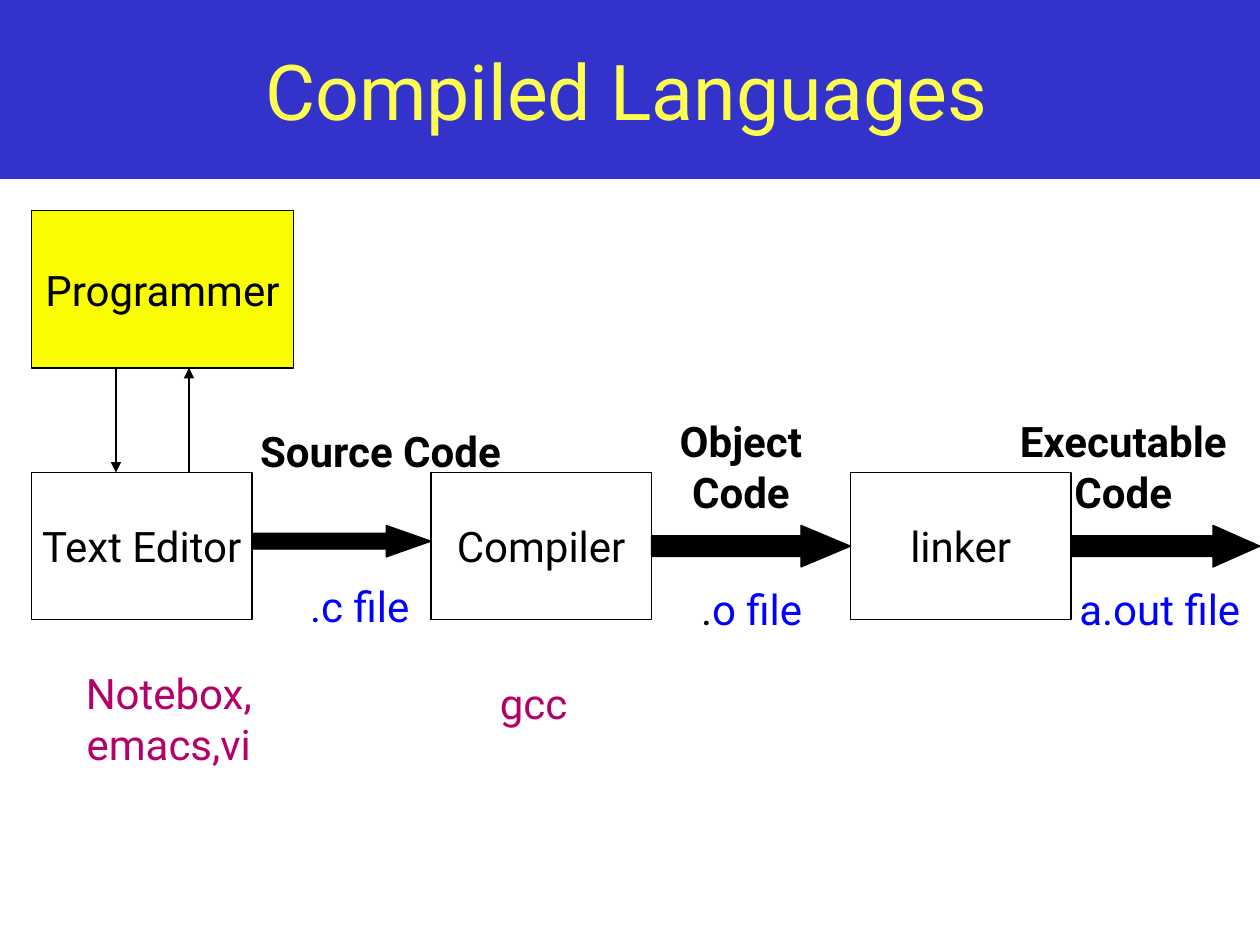
from lxml import etree
from pptx import Presentation
from pptx.dml.color import RGBColor
from pptx.enum.shapes import MSO_CONNECTOR, MSO_SHAPE
from pptx.enum.text import MSO_ANCHOR, MSO_AUTO_SIZE, PP_ALIGN
from pptx.oxml.ns import qn
from pptx.util import Inches, Pt

RECT = MSO_SHAPE.RECTANGLE
RIGHT_ARROW = MSO_SHAPE.RIGHT_ARROW
STRAIGHT = MSO_CONNECTOR.STRAIGHT
MIDDLE, TOP = MSO_ANCHOR.MIDDLE, MSO_ANCHOR.TOP
CENTER = PP_ALIGN.CENTER
FIT_SHAPE = MSO_AUTO_SIZE.SHAPE_TO_FIT_TEXT

FONT = "Roboto"
COLORS = {
    "banner": "3333CC",
    "title": "FEFE50",
    "black": "000000",
    "white": "FFFFFF",
    "programmer": "FAFD00",
    "file": "0000FF",
    "tool": "B50069",
}
STAGE_TOP, STAGE_W, STAGE_H = 3.75, 1.75, 1.17
STAGES = [("Text Editor", 0.25), ("Compiler", 3.42), ("linker", 6.75)]
PROGRAMMER_BOTTOM = 2.92


def rgb(name):
    return RGBColor.from_string(COLORS[name])


def write(tf, runs, size=24, bold=False, anchor=TOP, wrap=True):
    """Fill a text frame with one centred paragraph of (text, colour) runs."""
    tf.word_wrap = wrap
    tf.vertical_anchor = anchor
    p = tf.paragraphs[0]
    p.alignment = CENTER
    for text, color in runs:
        r = p.add_run()
        r.text = text
        r.font.name = FONT
        r.font.size = Pt(size)
        r.font.bold = bold
        r.font.color.rgb = rgb(color)


def add_shape(slide, kind, left, top, width, height, fill, line="black"):
    sp = slide.shapes.add_shape(
        kind, Inches(left), Inches(top), Inches(width), Inches(height))
    sp.shadow.inherit = False
    sp.fill.solid()
    sp.fill.fore_color.rgb = rgb(fill)
    if line:
        sp.line.color.rgb = rgb(line)
        sp.line.width = Pt(0.75)
    else:
        sp.line.fill.background()
    return sp


def add_box(slide, text, left, top, width, height, fill="white"):
    sp = add_shape(slide, RECT, left, top, width, height, fill)
    write(sp.text_frame, [(text, "black")], anchor=MIDDLE, wrap=False)


def add_block_arrow(slide, left, right, height, head):
    sp = add_shape(slide, RIGHT_ARROW, left, 4.17, right - left, height, "black")
    sp.adjustments[0] = 0.5
    sp.adjustments[1] = head


def add_thin_arrow(slide, x, start, end):
    line = slide.shapes.add_connector(
        STRAIGHT, Inches(x), Inches(start), Inches(x), Inches(end))
    line.line.color.rgb = rgb("black")
    line.line.width = Pt(0.75)
    ln = line.line._get_or_add_ln()
    etree.SubElement(ln, qn("a:tailEnd"), type="triangle")
    etree.SubElement(line._element.spPr, qn("a:effectLst"))


def add_label(slide, runs, left, top, width, height, bold=False, wrap=True):
    tf = slide.shapes.add_textbox(
        Inches(left), Inches(top), Inches(width), Inches(height)).text_frame
    write(tf, runs, bold=bold, wrap=wrap)
    tf.auto_size = FIT_SHAPE


def add_title(slide, text):
    add_shape(slide, RECT, 0, 0, 10, 1.42, "banner", line=None)
    sp = slide.shapes.add_textbox(
        Inches(0.17), Inches(0.17), Inches(9.61), Inches(1.08))
    write(sp.text_frame, [(text, "title")], size=44, anchor=MIDDLE)


def main():
    prs = Presentation()
    prs.slide_width, prs.slide_height = Inches(10), Inches(7.5)
    slide = prs.slides.add_slide(prs.slide_layouts[6])

    add_title(slide, "Compiled Languages")

    for text, left in STAGES:
        add_box(slide, text, left, STAGE_TOP, STAGE_W, STAGE_H)
    ends = [left for _, left in STAGES[1:]] + [10]
    heads = [(0.25, 1.42), (0.33, 1.19), (0.33, 1.13)]
    for (_, left), end, (height, head) in zip(STAGES, ends, heads):
        add_block_arrow(slide, left + STAGE_W, end, height, head)

    add_box(slide, "Programmer", 0.25, 1.67, 2.08, 1.25, "programmer")
    add_thin_arrow(slide, 0.92, PROGRAMMER_BOTTOM, STAGE_TOP)
    add_thin_arrow(slide, 1.5, STAGE_TOP, PROGRAMMER_BOTTOM)

    add_label(slide, [("Source Code", "black")], 1.9, 3.33, 2.24, 0.5,
              bold=True, wrap=False)
    add_label(slide, [("Object Code", "black")], 4.92, 3.25, 1.92, 0.9, bold=True)
    add_label(slide, [("Executable Code", "black")], 7.83, 3.25, 2.17, 0.9, bold=True)

    add_label(slide, [(".c file", "file")], 2.35, 4.56, 1.01, 0.5, wrap=False)
    add_label(slide, [(".", "black"), ("o file", "file")], 5.17, 4.58, 1.59, 0.5)
    add_label(slide, [("a.out file", "file")], 8.41, 4.58, 1.59, 0.5)

    add_label(slide, [("Notebox, emacs,vi", "tool")], 0.33, 5.25, 2.02, 0.9)
    add_label(slide, [("gcc", "tool")], 3.75, 5.33, 0.97, 0.5)

    prs.save("out.pptx")


if __name__ == "__main__":
    main()
